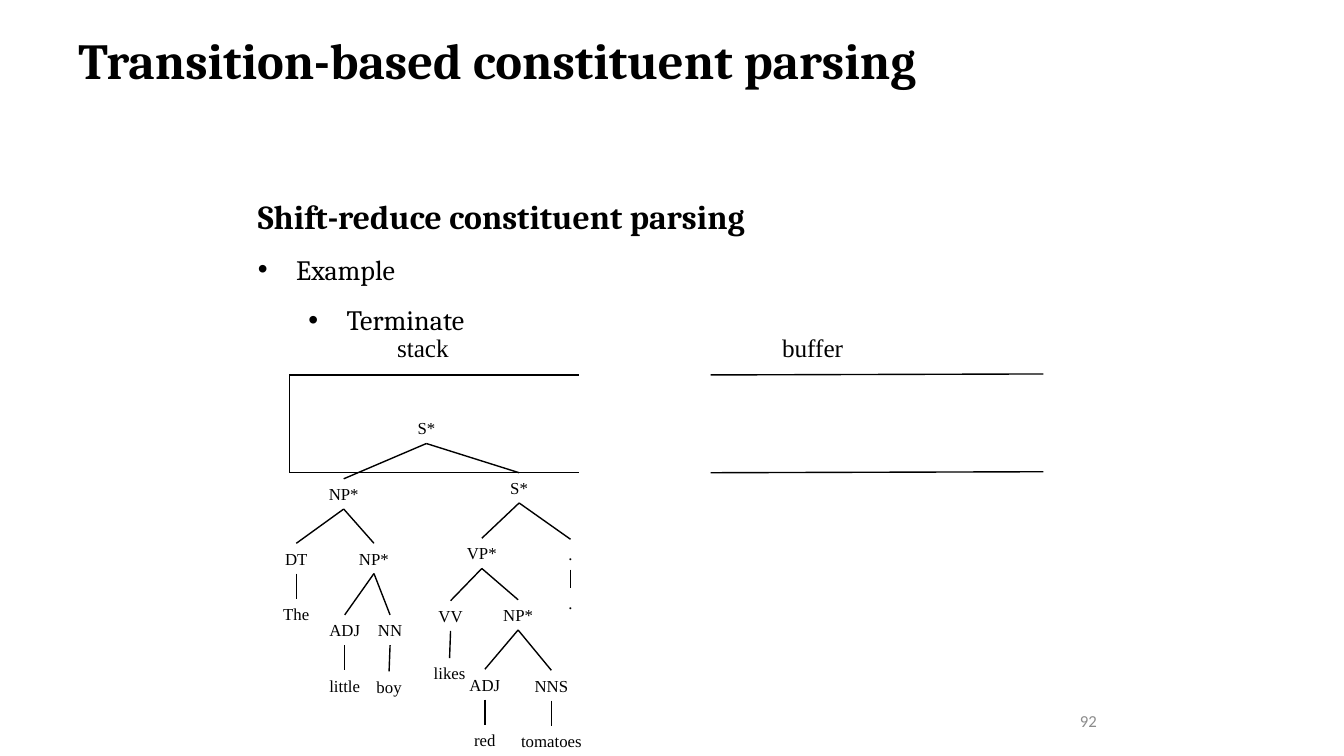
from dataclasses import dataclass

from lxml import etree
from pptx import Presentation
from pptx.dml.color import RGBColor
from pptx.enum.shapes import MSO_CONNECTOR
from pptx.enum.text import MSO_ANCHOR, MSO_AUTO_SIZE, PP_ALIGN
from pptx.oxml.ns import qn
from pptx.util import Inches, Pt

STRAIGHT = MSO_CONNECTOR.STRAIGHT
TOP, MIDDLE = MSO_ANCHOR.TOP, MSO_ANCHOR.MIDDLE
LEFT, RIGHT, CENTER = PP_ALIGN.LEFT, PP_ALIGN.RIGHT, PP_ALIGN.CENTER
FIT, FIXED = MSO_AUTO_SIZE.SHAPE_TO_FIT_TEXT, MSO_AUTO_SIZE.NONE


@dataclass(frozen=True)
class Theme:
    ink: str = "000000"
    muted: str = "8C8C8C"
    heading: str = "Cambria"
    diagram: str = "Times New Roman"
    number: str = "Calibri"
    title: int = 36
    subtitle: int = 24
    body: int = 20
    label: int = 18
    small: int = 12
    rule: int = 1


THEME = Theme()

# Square grid: ten columns or rows to the inch
COLS, ROWS = 133.33, 75
NODE_H = 3
INDENT, LEVEL_STEP = 3.8, 5

# Parse tree nodes: label, centre column, top row, width, children
SUBJECT = ("NP*", 34.1, 47.5, 5, [
    ("DT", 29.4, 53.9, 4.3, [("The", 29.4, 59.4, 4.6, [])]),
    ("NP*", 37.1, 53.9, 5, [
        ("ADJ", 34.2, 61, 5.1, [("little", 34.2, 66.5, 5.1, [])]),
        ("NN", 38.7, 61, 4.4, [("boy", 38.6, 66.6, 4.5, [])]),
    ]),
])
PREDICATE = ("S*", 51.5, 46.9, 3.8, [
    ("VP*", 47.8, 53.4, 5, [
        ("VV", 44.7, 59.6, 4.4, [("likes", 44.6, 65.3, 5.2, [])]),
        ("NP*", 51.4, 59.5, 5, [
            ("ADJ", 48.1, 66.4, 5.1, [("red", 48.1, 71.9, 4.2, [])]),
            ("NNS", 54.7, 66.5, 5.4, [("tomatoes", 54.7, 72, 8.1, [])]),
        ]),
    ]),
    (".", 56.6, 53.5, 2.4, [(".", 56.6, 58.3, 2.4, [])]),
])
TREE = ("S*", 42.3, 41, 3.8, [SUBJECT, PREDICATE])


def grid(n):
    return Inches(n / 10)


def add_bullet(p, level):
    p.level = level
    pPr = p._p.get_or_add_pPr()
    pPr.set("marL", str(grid(INDENT + level * LEVEL_STEP)))
    pPr.set("indent", str(-grid(INDENT)))
    etree.SubElement(pPr, qn("a:buFont")).set("typeface", "Arial")
    etree.SubElement(pPr, qn("a:buChar")).set("char", "•")


def write(p, text, font=THEME.diagram, size=THEME.small, color=THEME.ink,
          bold=False, align=LEFT, spacing=None, level=None):
    """Put one formatted run in a paragraph; a level makes it a bullet."""
    p.alignment = align
    if spacing:
        p.line_spacing = spacing
    if level is not None:
        add_bullet(p, level)
    r = p.add_run()
    r.text = text
    r.font.name, r.font.size, r.font.bold = font, Pt(size), bold
    r.font.color.rgb = RGBColor.from_string(color)


def add_box(s, x, y, w, h, wrap=True, anchor=TOP, auto=FIT):
    tf = s.shapes.add_textbox(grid(x), grid(y), grid(w), grid(h)).text_frame
    tf.word_wrap, tf.vertical_anchor, tf.auto_size = wrap, anchor, auto
    return tf


def add_label(s, text, x, y, w, h, wrap=False, anchor=TOP, auto=FIT, **fmt):
    tf = add_box(s, x, y, w, h, wrap, anchor, auto)
    write(tf.paragraphs[0], text, **fmt)


def add_line(s, x1, y1, x2, y2):
    line = s.shapes.add_connector(STRAIGHT, grid(x1), grid(y1), grid(x2), grid(y2))
    line.line.color.rgb = RGBColor.from_string(THEME.ink)
    line.line.width = Pt(THEME.rule)
    etree.SubElement(line._element.spPr, qn("a:effectLst"))


def add_outline(s):
    tf = add_box(s, 24.6, 16.9, 77.1, 16.7)
    rows = [("Shift-reduce constituent parsing", THEME.subtitle, True, None),
            ("Example", THEME.body, False, 0),
            ("Terminate", THEME.body, False, 1)]
    for i, (text, size, bold, level) in enumerate(rows):
        p = tf.add_paragraph() if i else tf.paragraphs[0]
        write(p, text, font=THEME.heading, size=size, bold=bold,
              spacing=1.5, level=level)


def add_stores(s):
    """Draw the stack, closed on its left, and the open buffer."""
    top, bottom = 37.2, 46.9
    for text, x, w in (("stack", 38.4, 7.2), ("buffer", 76.6, 8.1)):
        add_label(s, text, x, 32.5, w, 4, size=THEME.label)
    for y in (top, bottom):
        add_line(s, 28.7, y, 57.4, y)
        add_line(s, 70.5, y, 103.5, y - 0.1)
    add_line(s, 28.7, top, 28.7, bottom)


def add_tree(s, node):
    """Draw a node, its branches and, in turn, its children."""
    text, x, y, w, children = node
    add_label(s, text, x - w / 2, y, w, NODE_H, align=CENTER)
    for child in children:
        add_line(s, x, y + NODE_H, child[1], child[2])
        add_tree(s, child)


def main():
    prs = Presentation()
    prs.slide_width, prs.slide_height = grid(COLS), grid(ROWS)
    s = prs.slides.add_slide(prs.slide_layouts[6])

    # Title and outline
    add_label(s, "Transition-based constituent parsing", 6.8, 2.4, 86.9, 7.1,
              wrap=True, font=THEME.heading, size=THEME.title, bold=True)
    add_outline(s)

    # Parser state
    add_stores(s)
    add_tree(s, TREE)

    # Slide number
    add_label(s, "92", 87.3, 69.5, 22.5, 4, wrap=True, anchor=MIDDLE, auto=FIXED,
              font=THEME.number, color=THEME.muted, align=RIGHT)
    prs.save("out.pptx")


if __name__ == "__main__":
    main()
